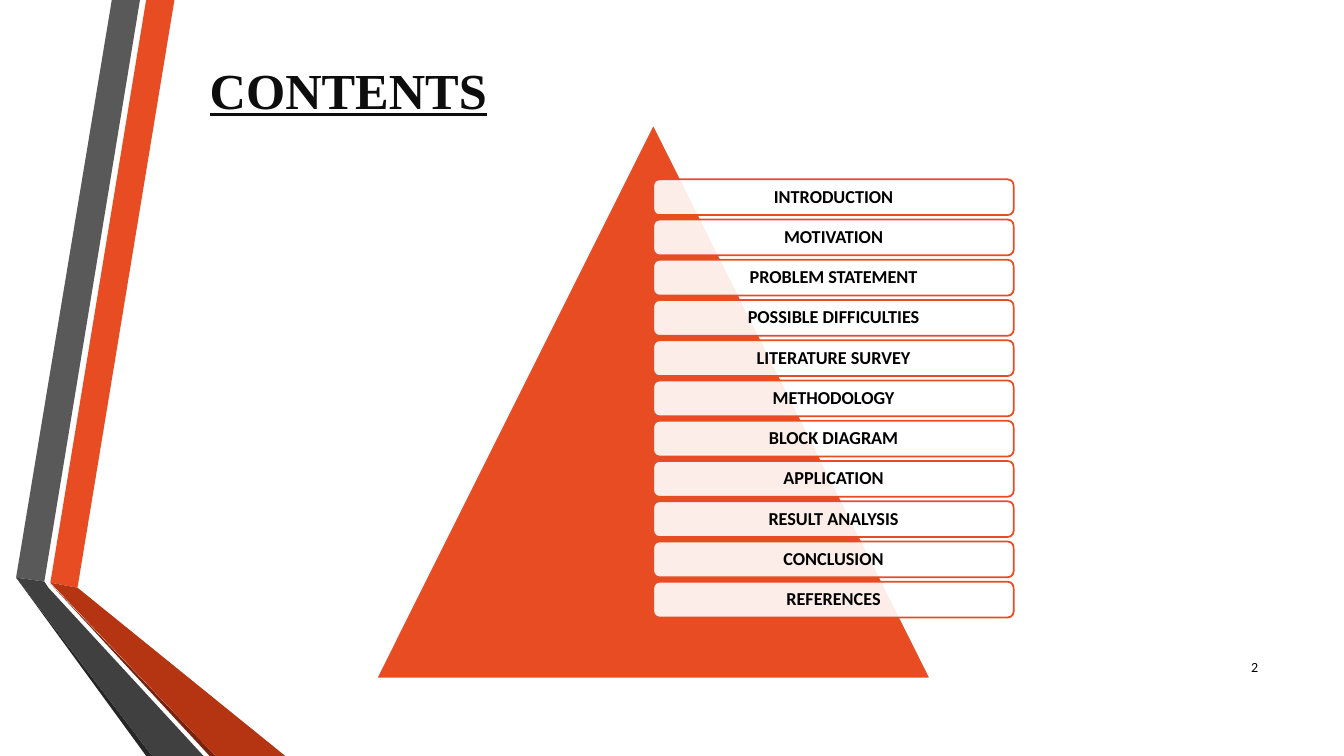
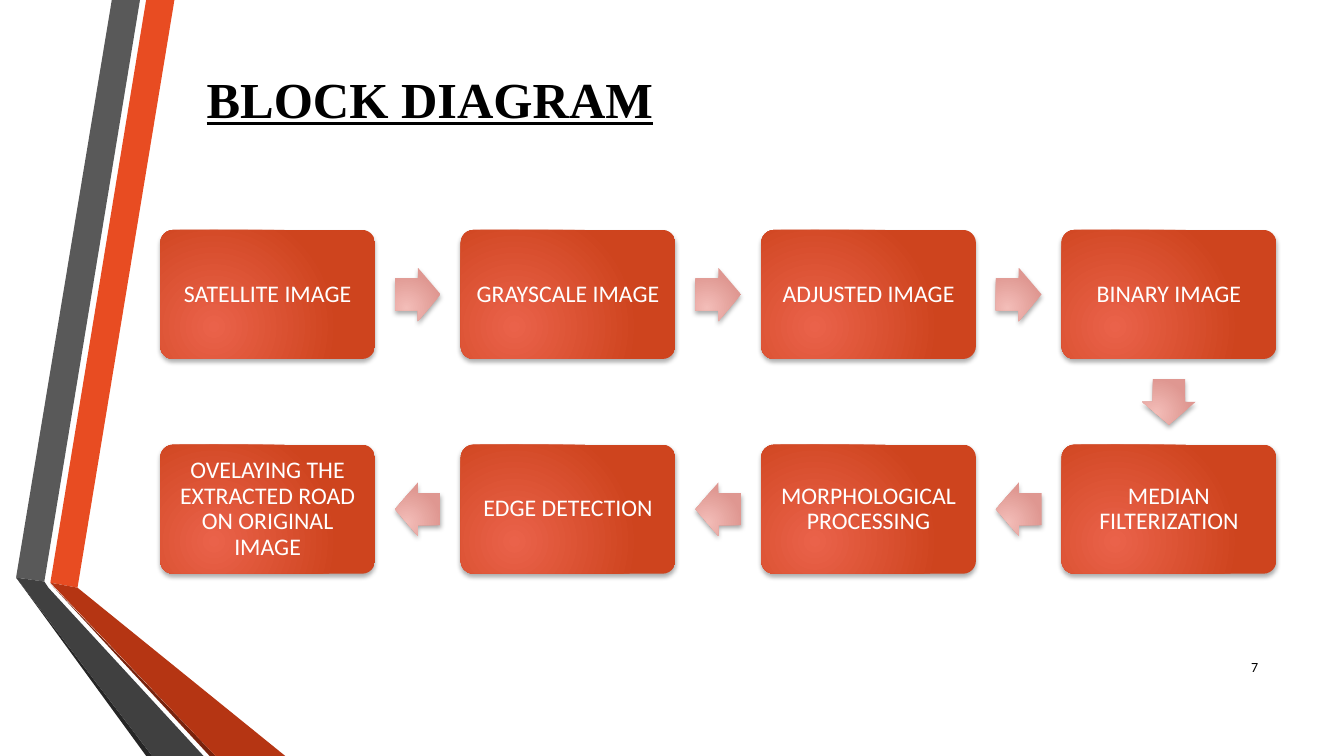
from math import atan2, degrees

from pptx import Presentation
from pptx.dml.color import RGBColor
from pptx.enum.shapes import MSO_SHAPE
from pptx.enum.text import MSO_ANCHOR, MSO_AUTO_SIZE, PP_ALIGN
from pptx.oxml.ns import qn
from pptx.util import Pt
from lxml.etree import SubElement

ORANGE, WHITE, BLACK = "E84C22", "FFFFFF", "000000"
BODY_FONT, TITLE_FONT = "Calibri", "Times New Roman"
BOX_COLORS = ("EA624A", "CE441E")
ARROW_COLORS = ("F3BDB8", "DF9791")

# Side ribbon: colour and outline points
RIBBON = [
    (ORANGE, [(36, 416.2), (55.4, 419.8), (124.6, 0), (104.4, 0)]),
    ("595959", [(100, 0), (79.9, 0), (11.5, 412.6), (31.7, 415.4)]),
    ("262626", [(11.5, 412.6), (104.4, 540), (108.7, 540)]),
    ("78230D", [(36, 416.9), (149.8, 540), (154.1, 540)]),
    ("B53513", [(36, 416.2), (154.1, 540), (203.8, 540), (55.4, 419.8)]),
    ("404040", [(145.4, 540), (34.6, 419.8), (31.7, 415.4), (11.5, 412.6),
                (108.7, 540)]),
]

CONTENTS = [
    "INTRODUCTION", "MOTIVATION", "PROBLEM STATEMENT", "POSSIBLE DIFFICULTIES",
    "LITERATURE SURVEY", "METHODOLOGY", "BLOCK DIAGRAM", "APPLICATION",
    "RESULT ANALYSIS", "CONCLUSION", "REFERENCES",
]
STEPS = [
    "SATELLITE IMAGE", "GRAYSCALE IMAGE", "ADJUSTED IMAGE", "BINARY IMAGE",
    "MEDIAN FILTERIZATION", "MORPHOLOGICAL PROCESSING", "EDGE DETECTION",
    "OVELAYING THE EXTRACTED ROAD ON ORIGINAL IMAGE",
]
COLUMNS = 4


def rgb(color):
    return RGBColor.from_string(color)


def fill_solid(shape, color, opacity=100):
    shape.fill.solid()
    shape.fill.fore_color.rgb = rgb(color)
    if opacity < 100:
        color_element = shape.element.spPr.find(qn("a:solidFill"))[0]
        SubElement(color_element, qn("a:alpha"), val=str(opacity * 1000))


def fill_radial(shape, colors):
    """Shade from the lower left of the shape outwards."""
    shape.fill.gradient()
    for stop, color, position in zip(shape.fill.gradient_stops, colors, (0, 1)):
        stop.color.rgb = rgb(color)
        stop.position = position
    gradient = shape.element.spPr.find(qn("a:gradFill"))
    gradient.remove(gradient.find(qn("a:lin")))
    circle = SubElement(gradient, qn("a:path"))
    circle.set("path", "circle")
    SubElement(circle, qn("a:fillToRect"), l="50000", t="100000", r="100000", b="50000")


def add_soft_shadow(shape):
    effects = shape.element.spPr.find(qn("a:effectLst"))
    shadow = SubElement(effects, qn("a:outerShdw"), blurRad=str(Pt(3.5)),
                        dist=str(Pt(2.2)), dir="5400000", algn="ctr", rotWithShape="0")
    color = SubElement(shadow, qn("a:srgbClr"), val=BLACK)
    SubElement(color, qn("a:alpha"), val="32000")


def add_preset(slide, preset, left, top, width, height, line=None):
    shape = slide.shapes.add_shape(preset, Pt(left), Pt(top), Pt(width), Pt(height))
    shape.shadow.inherit = False
    if line:
        shape.line.color.rgb = rgb(line)
        shape.line.width = Pt(1.25)
    else:
        shape.line.fill.background()
    return shape


def set_text(shape, text, size, color, font=BODY_FONT, align=PP_ALIGN.CENTER,
             bold=False, underline=False, inset=None, spacing=None):
    frame = shape.text_frame
    frame.text = text
    frame.word_wrap = True
    frame.auto_size = MSO_AUTO_SIZE.NONE
    frame.vertical_anchor = MSO_ANCHOR.MIDDLE
    if inset is not None:
        frame.margin_left = frame.margin_right = Pt(inset)
        frame.margin_top = frame.margin_bottom = Pt(inset)
    paragraph = frame.paragraphs[0]
    paragraph.alignment = align
    paragraph.line_spacing = spacing
    paragraph.font.name = font
    paragraph.font.size = Pt(size)
    paragraph.font.bold = bold
    paragraph.font.underline = underline
    paragraph.font.color.rgb = rgb(color)


def add_slide(presentation, title, color, left, top, width, number):
    slide = presentation.slides.add_slide(presentation.slide_layouts[5])
    heading = slide.shapes.title
    heading.left, heading.top, heading.width, heading.height = map(
        Pt, (left, top, width, 56))
    set_text(heading, title, 36, color, TITLE_FONT, PP_ALIGN.LEFT,
             bold=True, underline=True)
    number_box = slide.shapes.add_textbox(Pt(862.6), Pt(462.2), Pt(43.2), Pt(28.8))
    set_text(number_box, str(number), 10, BLACK, align=PP_ALIGN.RIGHT)
    return slide


def put_ribbon_on_layout(slide):
    """Draw the ribbon on the slide, then move it behind the layout's placeholders."""
    for index, (color, points) in enumerate(RIBBON):
        start, *others = [(Pt(x), Pt(y)) for x, y in points]
        builder = slide.shapes.build_freeform(*start, scale=1.0)
        builder.add_line_segments(others, close=True)
        band = builder.convert_to_shape()
        band.shadow.inherit = False
        fill_solid(band, color)
        band.line.fill.background()
        slide.slide_layout.shapes.element.insert(2 + index, band.element)


def draw_contents(slide):
    triangle = add_preset(slide, MSO_SHAPE.ISOSCELES_TRIANGLE, 268.7, 88.7, 396, 396, WHITE)
    fill_solid(triangle, ORANGE)
    height = 25.55
    pitch = height * 9 / 8
    for index, text in enumerate(CONTENTS):
        bar = add_preset(slide, MSO_SHAPE.ROUNDED_RECTANGLE,
                         466.7, 128.1 + index * pitch, 257.4, height, ORANGE)
        fill_solid(bar, WHITE, opacity=90)
        set_text(bar, text, 13, BLACK, bold=True, inset=4, spacing=0.9)


def draw_block_diagram(slide):
    """Lay the steps out left to right, then back, with an arrow between neighbours."""
    left, top, width, height = 114.5, 164.2, 153.4, 92.2
    column_pitch, row_pitch = 214.6, 153.4
    arrow_width, arrow_height = 32.6, 38.2
    centers = []
    for index, text in enumerate(STEPS):
        row, column = divmod(index, COLUMNS)
        if row % 2:
            column = COLUMNS - 1 - column
        x, y = left + column * column_pitch, top + row * row_pitch
        box = add_preset(slide, MSO_SHAPE.ROUNDED_RECTANGLE, x, y, width, height)
        box.adjustments[0] = 0.1
        fill_radial(box, BOX_COLORS)
        add_soft_shadow(box)
        set_text(box, text, 17, WHITE, inset=8, spacing=0.9)
        centers.append((x + width / 2, y + height / 2))

    for (x1, y1), (x2, y2) in zip(centers, centers[1:]):
        arrow = add_preset(slide, MSO_SHAPE.RIGHT_ARROW,
                           (x1 + x2 - arrow_width) / 2, (y1 + y2 - arrow_height) / 2,
                           arrow_width, arrow_height)
        arrow.rotation = degrees(atan2(y2 - y1, x2 - x1))
        arrow.adjustments[0] = 0.6
        fill_radial(arrow, ARROW_COLORS)
        add_soft_shadow(arrow)


def main():
    presentation = Presentation()
    presentation.slide_width, presentation.slide_height = Pt(960), Pt(540)
    contents = add_slide(presentation, "CONTENTS", "0D0D0D", 142.6, 35.5, 282, 2)
    put_ribbon_on_layout(contents)
    draw_contents(contents)
    diagram = add_slide(presentation, "BLOCK DIAGRAM", BLACK, 140.4, 42, 340, 7)
    draw_block_diagram(diagram)
    presentation.save("out.pptx")


if __name__ == "__main__":
    main()
